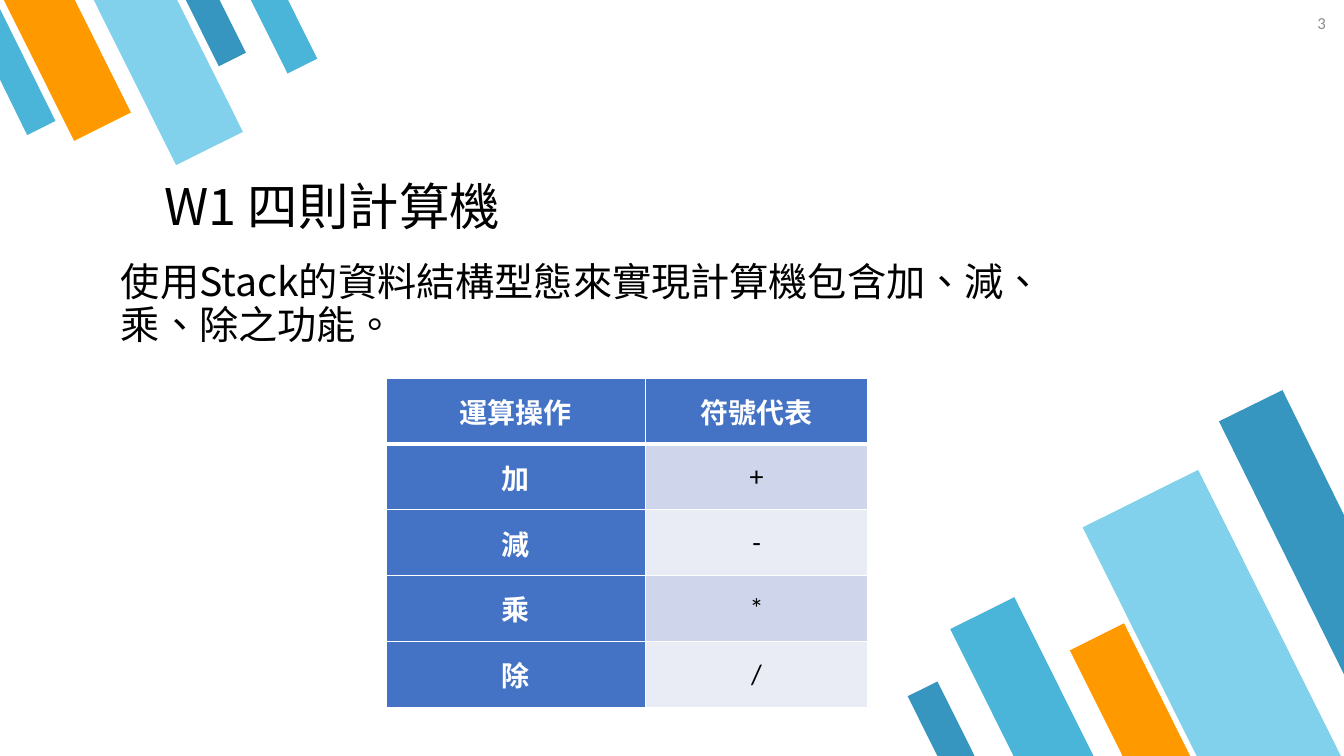
"""Build the four-operation calculator slide with slanted corner bars."""
from pptx import Presentation
from pptx.dml.color import RGBColor
from pptx.enum.shapes import MSO_SHAPE
from pptx.enum.text import MSO_ANCHOR, MSO_AUTO_SIZE, PP_ALIGN
from pptx.oxml import parse_xml
from pptx.oxml.ns import nsdecls, qn
from pptx.util import Pt

EMU_PER_PX = 9144
CJK = "Noto Sans CJK SC"
COLORS = {
    "teal": "4BB5D9", "sky": "81D1EC", "orange": "FF9900", "blue": "3796BF",
    "black": "000000", "white": "FFFFFF", "gray": "8C8C8C",
    "header": "4472C4", "band_dark": "CFD5EA", "band_light": "E9EBF5",
}
LOWER_BARS = [
    (978, 599, 71, 176, "teal"),
    (1138, 478, 128, 318, "sky"),
    (1091, 624, 60, 148, "orange"),
    (917, 679, 33, 83, "blue"),
]
UPPER_BARS = [
    (199, -11, 30, 74, "blue"),
    (35, -24, 63, 158, "orange"),
    (130, -26, 74, 183, "sky"),
    (265, -13, 33, 83, "teal"),
]
EDGE_BARS = [
    ([(1272, 387), (1209, 418), (1333, 669), (1333, 511)], "blue"),
    ([(27, 134), (55, 120), (0, 9), (0, 79)], "teal"),
]
OPERATIONS = [("運算操作", "符號代表"), ("加", "+"), ("減", "-"), ("乘", "*"), ("除", "/")]


def px(n):
    return n * EMU_PER_PX


def rgb(name):
    return RGBColor.from_string(COLORS[name])


def paint(sp, color):
    sp.shadow.inherit = False
    sp.fill.solid()
    sp.fill.fore_color.rgb = rgb(color)
    sp.line.fill.background()


def add_bar(s, x, y, w, h, color, angle):
    sp = s.shapes.add_shape(MSO_SHAPE.FLOWCHART_MANUAL_INPUT, px(x), px(y), px(w), px(h))
    sp.rotation = angle
    sp.element.spPr.find(qn("a:xfrm")).set("flipH", "1")
    paint(sp, color)


def add_edge_bar(s, points, color):
    builder = s.shapes.build_freeform(*points[0], scale=EMU_PER_PX)
    builder.add_line_segments(points[1:], close=True)
    paint(builder.convert_to_shape(), color)


def write(tf, text, size, color, font=CJK, align=PP_ALIGN.LEFT, bold=False):
    p = tf.paragraphs[0]
    p.alignment = align
    r = p.add_run()
    r.text = text
    r.font.size = Pt(size)
    r.font.name = font
    r.font.bold = bold
    r.font.color.rgb = rgb(color)
    r_pr = r._r.rPr
    r_pr.set("lang", "en-US")
    r_pr.set("altLang", "zh-TW")
    if font == CJK:
        r_pr.set("lang", "zh-TW")
        r_pr.set("altLang", "en-US")
    r_pr.find(qn("a:latin")).addnext(
        parse_xml(f'<a:ea {nsdecls("a")} typeface="{CJK}"/>'))
    return p


def frame(sp, x, y, w, h, anchor=MSO_ANCHOR.TOP):
    sp.left, sp.top, sp.width, sp.height = px(x), px(y), px(w), px(h)
    tf = sp.text_frame
    tf.word_wrap = True
    tf.auto_size = MSO_AUTO_SIZE.NONE
    tf.vertical_anchor = anchor
    tf.margin_left = tf.margin_right = tf.margin_top = tf.margin_bottom = px(13)
    return tf


def add_text(s, x, y, w, h):
    return frame(s.shapes.add_textbox(0, 0, 0, 0), x, y, w, h)


def set_borders(cell, is_header, below_header):
    tc_pr = cell._tc.get_or_add_tcPr()
    for side in "LRTB":
        thick = (is_header and side == "B") or (below_header and side == "T")
        tc_pr.append(parse_xml(
            f'<a:ln{side} {nsdecls("a")} w="{Pt(3 if thick else 1)}"><a:solidFill>'
            f'<a:srgbClr val="{COLORS["white"]}"/></a:solidFill></a:ln{side}>'))


def add_operations_table(s, x, y, widths, height):
    rows = len(OPERATIONS)
    table = s.shapes.add_table(
        rows, len(widths), px(x), px(y), px(sum(widths)), px(height)).table
    table.first_col = True
    for col, w in zip(table.columns, widths):
        col.width = px(w)
    for i, texts in enumerate(OPERATIONS):
        table.rows[i].height = px(height) // rows
        for j, text in enumerate(texts):
            cell = table.cell(i, j)
            heading = i == 0 or j == 0
            band = "band_dark" if i % 2 else "band_light"
            cell.margin_left = cell.margin_right = px(7)
            cell.margin_top = cell.margin_bottom = 0
            cell.vertical_anchor = MSO_ANCHOR.MIDDLE
            set_borders(cell, i == 0, i == 1)
            cell.fill.solid()
            cell.fill.fore_color.rgb = rgb("header" if heading else band)
            write(cell.text_frame, text, 20, "white" if heading else "black",
                  "Calibri", PP_ALIGN.CENTER, heading)


def main():
    prs = Presentation()
    prs.slide_width, prs.slide_height = px(1333), px(750)
    s = prs.slides.add_slide(prs.slide_layouts[5])

    for bars, angle in ((LOWER_BARS, 153.5), (UPPER_BARS, 333.5)):
        for bar in bars:
            add_bar(s, *bar, angle)
    for points, color in EDGE_BARS:
        add_edge_bar(s, points, color)

    title = frame(s.shapes.title, 150, 149, 840, 99, MSO_ANCHOR.BOTTOM)
    write(title, "W1 四則計算機", 36, "black").line_spacing = 0.9

    body = add_text(s, 92, 248, 973, 368)
    p = write(body, "使用Stack的資料結構型態來實現計算機包含加、減、乘、除之功能。", 28, "black")
    p.line_spacing = 0.9
    p._p.get_or_add_pPr().set("marL", str(px(15)))

    number = add_text(s, 1248, 0, 80, 57)
    write(number, "3", 12, "gray", "Calibri", PP_ALIGN.RIGHT)

    add_operations_table(s, 383, 375, (257, 221), 327)
    prs.save("out.pptx")


if __name__ == "__main__":
    main()
